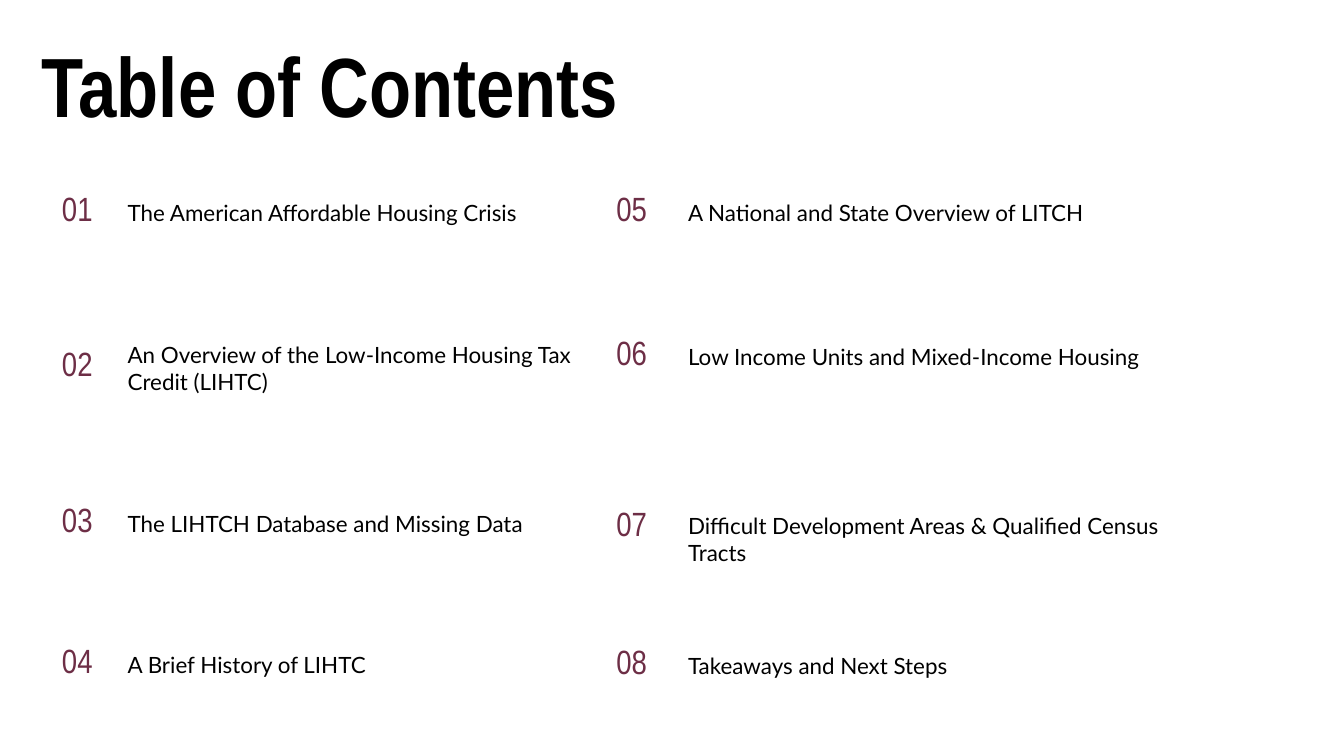
from dataclasses import dataclass

from pptx import Presentation
from pptx.dml.color import RGBColor
from pptx.enum import text
from pptx.util import Inches, Pt

COLORS = {"title": "000000", "body": "000000", "number": "6D2E46"}
PAD = 0.1


@dataclass
class Entry:
    title: str
    height: float
    number_drop: float = 0  # extra top margin that lowers the number
    title_drop: float = 0


@dataclass
class Column:
    left: float
    top: float
    widths: tuple[float, float]
    first: int
    entries: list[Entry]


COLUMNS = [
    Column(0.3, 1.06, (0.55, 3.53), 1, [
        Entry("The American Affordable Housing Crisis", 1.05),
        Entry("An Overview of the Low-Income Housing Tax Credit (LIHTC)", 1.26),
        Entry("The LIHTCH Database and Missing Data", 1.05),
        Entry("A Brief History of LIHTC", 1.05),
    ]),
    Column(4.38, 1.09, (0.64, 4.12), 5, [
        Entry("A National and State Overview of LITCH", 0.99),
        Entry("Low Income Units and Mixed-Income Housing", 1.15),
        Entry("Difficult Development Areas & Qualified Census Tracts", 1.15, 0.25, 0.42),
        Entry("Takeaways and Next Steps", 1.15),
    ]),
]


def style(p, size: float, font: str, color: str, align, bold: bool = False) -> None:
    p.alignment = align
    for r in p.runs:
        r.font.size, r.font.name, r.font.bold = Pt(size), font, bold
        r.font.color.rgb = RGBColor.from_string(COLORS[color])


def set_margins(frame, drop: float = 0) -> None:
    frame.margin_left = frame.margin_right = frame.margin_bottom = Inches(PAD)
    frame.margin_top = Inches(PAD + drop)


def fill_cell(cell, content: str, drop: float, size: float, font: str, color: str, align) -> None:
    cell.fill.background()
    cell.vertical_anchor = text.MSO_ANCHOR.MIDDLE
    set_margins(cell, drop)
    cell.text = content
    style(cell.text_frame.paragraphs[0], size, font, color, align)


def draw_column(slide, col: Column) -> None:
    height = sum(e.height for e in col.entries)
    table = slide.shapes.add_table(
        len(col.entries), 2, Inches(col.left), Inches(col.top),
        Inches(sum(col.widths)), Inches(height)).table
    table.first_row = table.horz_banding = False
    for c, width in zip(table.columns, col.widths):
        c.width = Inches(width)
    for i, e in enumerate(col.entries):
        table.rows[i].height = Inches(e.height)
        fill_cell(table.cell(i, 0), f"{col.first + i:02d}", e.number_drop,
                  18, "Arial Narrow", "number", text.PP_ALIGN.CENTER)
        fill_cell(table.cell(i, 1), e.title, e.title_drop,
                  12, "Lato", "body", text.PP_ALIGN.LEFT)


def main() -> None:
    # Widescreen slide, 16:9
    prs = Presentation()
    prs.slide_width = Inches(10)
    prs.slide_height = prs.slide_width * 9 // 16
    slide = prs.slides.add_slide(prs.slide_layouts[5])

    # Title
    sp = slide.shapes.title
    sp.left, sp.top, sp.width, sp.height = map(Inches, (0.21, 0.15, 6.4, 0.78))
    tf = sp.text_frame
    tf.text = "Table of Contents"
    tf.word_wrap = True
    tf.auto_size = text.MSO_AUTO_SIZE.NONE
    tf.vertical_anchor = text.MSO_ANCHOR.TOP
    set_margins(tf)
    style(tf.paragraphs[0], 45, "Arial Narrow", "title", text.PP_ALIGN.LEFT, bold=True)

    # Numbered contents
    for col in COLUMNS:
        draw_column(slide, col)

    prs.save("out.pptx")


if __name__ == "__main__":
    main()
